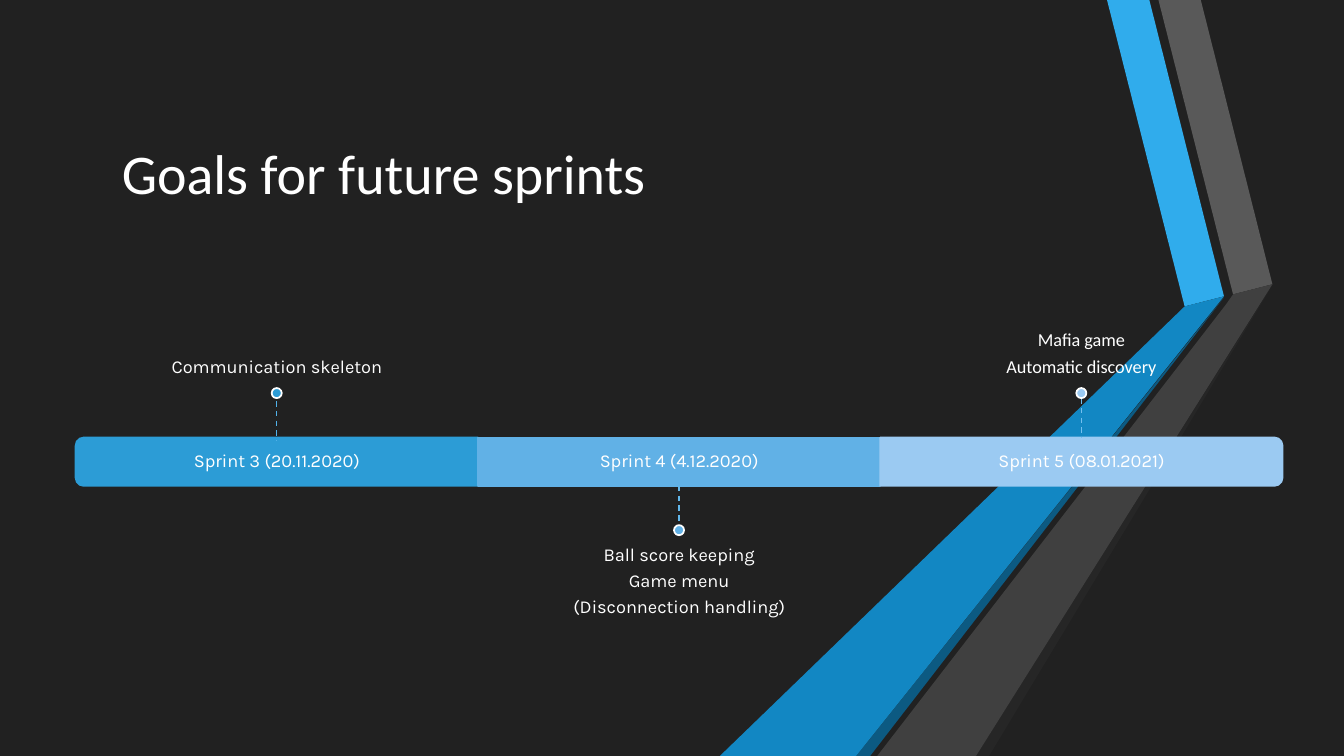
"""Build a slide with a three-sprint timeline of goals."""
from dataclasses import dataclass

from lxml import etree
from pptx import Presentation
from pptx import util as u
from pptx.dml import color
from pptx.enum import dml, shapes, text
from pptx.oxml import ns

COLORS = {
    "back": "212121", "white": "FFFFFF",
    "sky": "30ACEC", "blue": "1287C3", "navy": "0C5A82",
    "ash": "595959", "slate": "404040", "coal": "262626",
    "sprint3": "2C9CD6", "sprint4": "61B1E6", "sprint5": "9BCAF2",
    "stem3": "51B1E9", "stem4": "62B8EC", "stem5": "74BFEF",
}
BAR_LEFT, BAR_TOP, BAR_WIDTH, BAR_HEIGHT = 0.75, 4.34, 3.99, 0.48
BAR_BOTTOM = BAR_TOP + BAR_HEIGHT
STEM, DOT = 0.39, 0.1
GOALS_WIDTH, GOALS_HEIGHT = 6.65, 1.69
PAD = 0.11


@dataclass
class Ribbon:
    fill: str
    points: list[tuple[float, float]]


@dataclass
class Sprint:
    label: str
    goals: list[str]
    fill: str
    stem: str
    stem_top: float
    turn: int = 0
    font: str = "Karla"
    above: bool = True


RIBBONS = [
    Ribbon("sky", [(12.14, 2.94), (11.75, 3.04), (10.98, 0), (11.4, 0)]),
    Ribbon("ash", [(12.23, 2.92), (11.49, 0), (11.91, 0), (12.62, 2.82)]),
    Ribbon("coal", [(12.62, 2.83), (9.81, 7.5), (9.68, 7.5)]),
    Ribbon("navy", [(8.49, 7.5), (12.14, 2.95), (8.63, 7.5)]),
    Ribbon("blue", [(12.14, 2.94), (8.49, 7.5), (7.14, 7.5), (11.75, 3.04)]),
    Ribbon("slate", [(8.7, 7.5), (12.16, 3.02), (12.23, 2.92),
                     (12.62, 2.82), (9.68, 7.5)]),
]
SPRINTS = [
    Sprint("Sprint 3 (20.11.2020)", ["Communication skeleton"],
           "sprint3", "stem3", 3.98, turn=270),
    Sprint("Sprint 4 (4.12.2020)",
           ["Ball score keeping", "Game menu", "(Disconnection handling)"],
           "sprint4", "stem4", BAR_BOTTOM, above=False),
    Sprint("Sprint 5 (08.01.2021)", ["Mafia game", "Automatic discovery"],
           "sprint5", "stem5", 3.95, turn=90, font="Calibri"),
]


def rgb(name: str) -> color.RGBColor:
    return color.RGBColor.from_string(COLORS[name])


def paint(shape, fill: str, line: str | None = None) -> None:
    shape.shadow.inherit = False
    shape.fill.solid()
    shape.fill.fore_color.rgb = rgb(fill)
    if line:
        shape.line.color.rgb = rgb(line)
        shape.line.width = u.Pt(1.25)
    else:
        shape.line.fill.background()


def add_ribbon(page, ribbon: Ribbon) -> None:
    points = [(u.Inches(x), u.Inches(y)) for x, y in ribbon.points]
    builder = page.shapes.build_freeform(*points[0], scale=1.0)
    builder.add_line_segments(points[1:], close=True)
    paint(builder.convert_to_shape(), ribbon.fill)


def add_text(page, lines: list[str], at: tuple[float, ...], *,
             font: str = "Karla", size: float = 13,
             align=text.PP_ALIGN.CENTER, anchor=text.MSO_ANCHOR.MIDDLE,
             insets: tuple[float, ...] = (PAD, PAD, PAD, PAD),
             spacing: float = 0.9, after: float = 4.8) -> None:
    box = page.shapes.add_textbox(*map(u.Inches, at))
    frame = box.text_frame
    frame.word_wrap = True
    frame.vertical_anchor = anchor
    (frame.margin_left, frame.margin_top,
     frame.margin_right, frame.margin_bottom) = map(u.Inches, insets)
    for index, line in enumerate(lines):
        para = frame.add_paragraph() if index else frame.paragraphs[0]
        para.alignment = align
        para.line_spacing = spacing
        para.space_after = u.Pt(after)
        span = para.add_run()
        span.text = line
        span.font.name = font
        span.font.size = u.Pt(size)
        span.font.color.rgb = rgb("white")


def add_bar(page, sprint: Sprint, center: float) -> None:
    kind = shapes.MSO_SHAPE.RECTANGLE
    width, height = BAR_WIDTH, BAR_HEIGHT
    if sprint.turn:
        kind = shapes.MSO_SHAPE.ROUND_2_SAME_RECTANGLE
        width, height = height, width
    middle = BAR_TOP + BAR_HEIGHT / 2
    bar = page.shapes.add_shape(
        kind, u.Inches(center - width / 2), u.Inches(middle - height / 2),
        u.Inches(width), u.Inches(height))
    bar.rotation = sprint.turn
    paint(bar, sprint.fill, sprint.fill)


def add_stem(page, sprint: Sprint, center: float) -> None:
    x = u.Inches(center)
    stem = page.shapes.add_connector(
        shapes.MSO_CONNECTOR.STRAIGHT, x, u.Inches(sprint.stem_top),
        x, u.Inches(sprint.stem_top + STEM))
    stem.line.color.rgb = rgb(sprint.stem)
    stem.line.width = u.Pt(1)
    stem.line.dash_style = dml.MSO_LINE.DASH
    etree.SubElement(stem._element.spPr, ns.qn("a:effectLst"))


def add_sprint(page, sprint: Sprint, index: int) -> None:
    left = BAR_LEFT + index * BAR_WIDTH
    center = left + BAR_WIDTH / 2
    add_bar(page, sprint, center)
    add_text(page, [sprint.label], (left, BAR_TOP, BAR_WIDTH, BAR_HEIGHT))
    if sprint.above:
        top, anchor, insets = 2.16, text.MSO_ANCHOR.BOTTOM, (0, 0, 0, PAD)
        dot_top = 3.85
    else:
        top, anchor, insets = 5.3, text.MSO_ANCHOR.TOP, (0, PAD, 0, 0)
        dot_top = BAR_BOTTOM + STEM
    add_text(page, sprint.goals,
             (center - GOALS_WIDTH / 2, top, GOALS_WIDTH, GOALS_HEIGHT),
             font=sprint.font, anchor=anchor, insets=insets)
    add_stem(page, sprint, center)
    dot = page.shapes.add_shape(
        shapes.MSO_SHAPE.OVAL, u.Inches(center - DOT / 2),
        u.Inches(dot_top), u.Inches(DOT), u.Inches(DOT))
    paint(dot, sprint.fill, "white")


def main() -> None:
    deck = Presentation()
    deck.slide_width, deck.slide_height = u.Inches(13.33), u.Inches(7.5)
    page = deck.slides.add_slide(deck.slide_layouts[6])
    page.background.fill.solid()
    page.background.fill.fore_color.rgb = rgb("back")
    for ribbon in RIBBONS:
        add_ribbon(page, ribbon)
    add_text(page, ["Goals for future sprints"], (1.11, 0.75, 8.11, 1.92),
             font="Calibri", size=40, align=text.PP_ALIGN.LEFT,
             insets=(0.1, 0.05, 0.1, 0.05), spacing=1.0, after=0)
    for index, sprint in enumerate(SPRINTS):
        add_sprint(page, sprint, index)
    deck.save("out.pptx")


main()
